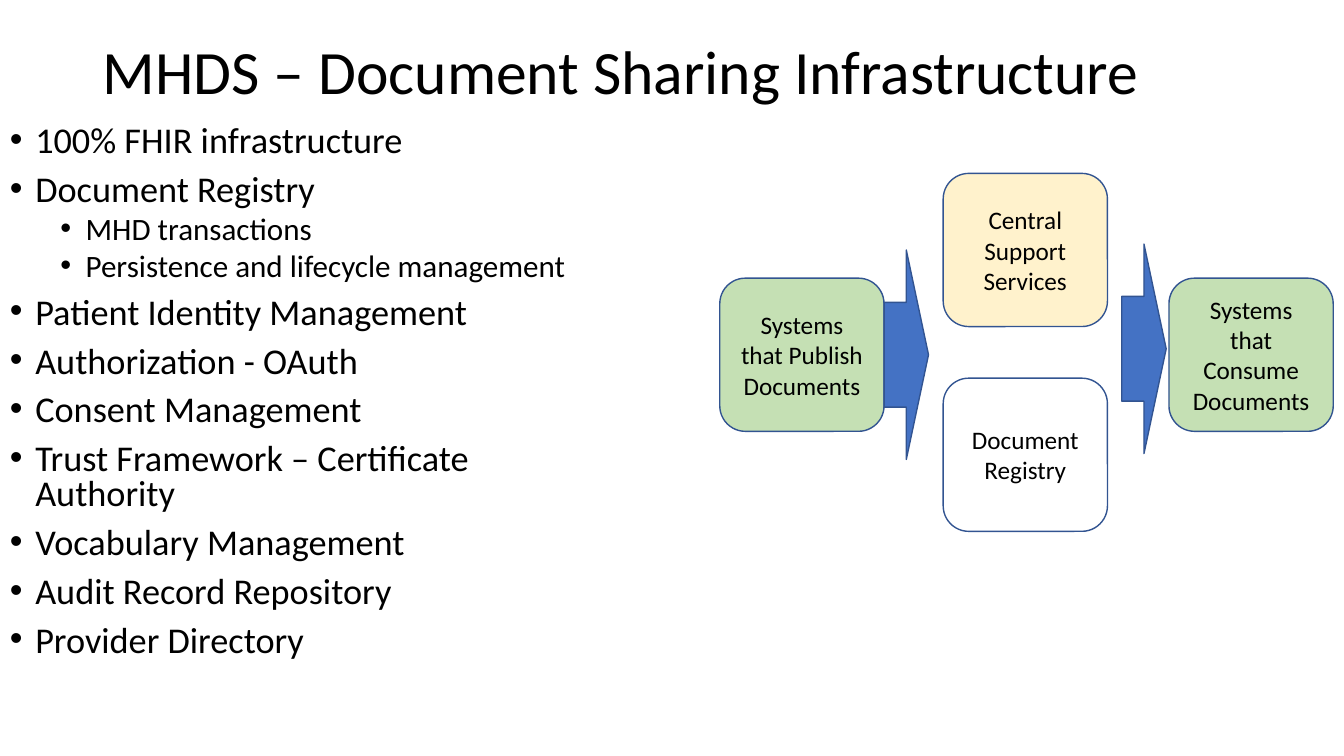
from dataclasses import dataclass

from lxml import etree
from pptx import Presentation
from pptx.dml.color import RGBColor
from pptx.enum import shapes, text
from pptx.oxml.ns import qn
from pptx.util import Cm, Pt

# Content
TITLE = "MHDS – Document Sharing Infrastructure"
BULLETS = [  # (level, wording)
    (0, "100% FHIR infrastructure"),
    (0, "Document Registry"),
    (1, "MHD transactions"),
    (1, "Persistence and lifecycle management"),
    (0, "Patient Identity Management"),
    (0, "Authorization - OAuth"),
    (0, "Consent Management"),
    (0, "Trust Framework – Certificate Authority"),
    (0, "Vocabulary Management"),
    (0, "Audit Record Repository"),
    (0, "Provider Directory"),
]
SYSTEMS = [  # (wording, fill name, left, top) in cm
    ("Central Support Services", "central", 23.77, 4.37),
    ("Document Registry", "registry", 23.77, 9.53),
    ("Systems that Publish Documents", "system", 18.14, 7.01),
    ("Systems that Consume Documents", "system", 29.46, 7.01),
]
ARROWS = [(22.28, 6.3), (28.27, 6.15)]  # (left, top) in cm
SYSTEM_SIZE = (4.14, 3.86)
ARROW_SIZE = (1.12, 5.28)


@dataclass(frozen=True)
class Theme:
    font: str = "Calibri"
    ink: str = "000000"
    outline: str = "325491"
    arrow: str = "4472C4"
    central: str = "FFF2CC"
    registry: str = "FFFFFF"
    system: str = "C5E0B4"
    title_size: float = 44
    label_size: float = 18
    bullet_sizes: tuple = (25.9, 22.2)
    bullet_gaps: tuple = (10, 5)
    bullet_indents: tuple = (0.64, 1.91)
    hanging: float = 0.64


THEME = Theme()


def set_font(para, size):
    para.font.name = THEME.font
    para.font.size = Pt(size)
    para.font.color.rgb = RGBColor.from_string(THEME.ink)


def add_text_box(page, left, top, width, height):
    box = page.shapes.add_textbox(Cm(left), Cm(top), Cm(width), Cm(height))
    box.text_frame.word_wrap = True
    return box.text_frame


def add_bullet(para, level):
    props = para._p.get_or_add_pPr()
    props.set("marL", str(Cm(THEME.bullet_indents[level])))
    props.set("indent", str(-Cm(THEME.hanging)))
    etree.SubElement(props, qn("a:buFont")).set("typeface", "Arial")
    etree.SubElement(props, qn("a:buChar")).set("char", "•")


def add_block(page, kind, left, top, size, fill):
    width, height = size
    block = page.shapes.add_shape(kind, Cm(left), Cm(top), Cm(width), Cm(height))
    block.shadow.inherit = False
    block.fill.solid()
    block.fill.fore_color.rgb = RGBColor.from_string(fill)
    block.line.color.rgb = RGBColor.from_string(THEME.outline)
    block.line.width = Pt(1)
    return block


def main():
    deck = Presentation()
    deck.slide_width, deck.slide_height = Cm(33.87), Cm(19.05)
    page = deck.slides.add_slide(deck.slide_layouts[6])

    # Title
    frame = add_text_box(page, 2.34, 0.05, 29.21, 3.68)
    frame.vertical_anchor = text.MSO_ANCHOR.MIDDLE
    para = frame.paragraphs[0]
    para.text = TITLE
    para.line_spacing = 0.9
    set_font(para, THEME.title_size)

    # Bullet list
    frame = add_text_box(page, 0, 3.05, 15.6, 14.12)
    for index, (level, wording) in enumerate(BULLETS):
        para = frame.add_paragraph() if index else frame.paragraphs[0]
        para.text = wording
        para.level = level
        add_bullet(para, level)
        para.line_spacing = 0.8
        if index:
            para.space_before = Pt(THEME.bullet_gaps[level])
        set_font(para, THEME.bullet_sizes[level])

    # Systems and services
    for wording, fill, left, top in SYSTEMS:
        block = add_block(page, shapes.MSO_SHAPE.ROUNDED_RECTANGLE,
                          left, top, SYSTEM_SIZE, getattr(THEME, fill))
        frame = block.text_frame
        frame.word_wrap = True
        frame.vertical_anchor = text.MSO_ANCHOR.MIDDLE
        para = frame.paragraphs[0]
        para.text = wording
        para.alignment = text.PP_ALIGN.CENTER
        set_font(para, THEME.label_size)

    # Flow arrows
    for left, top in ARROWS:
        add_block(page, shapes.MSO_SHAPE.RIGHT_ARROW,
                  left, top, ARROW_SIZE, THEME.arrow)

    deck.save("out.pptx")


if __name__ == "__main__":
    main()
